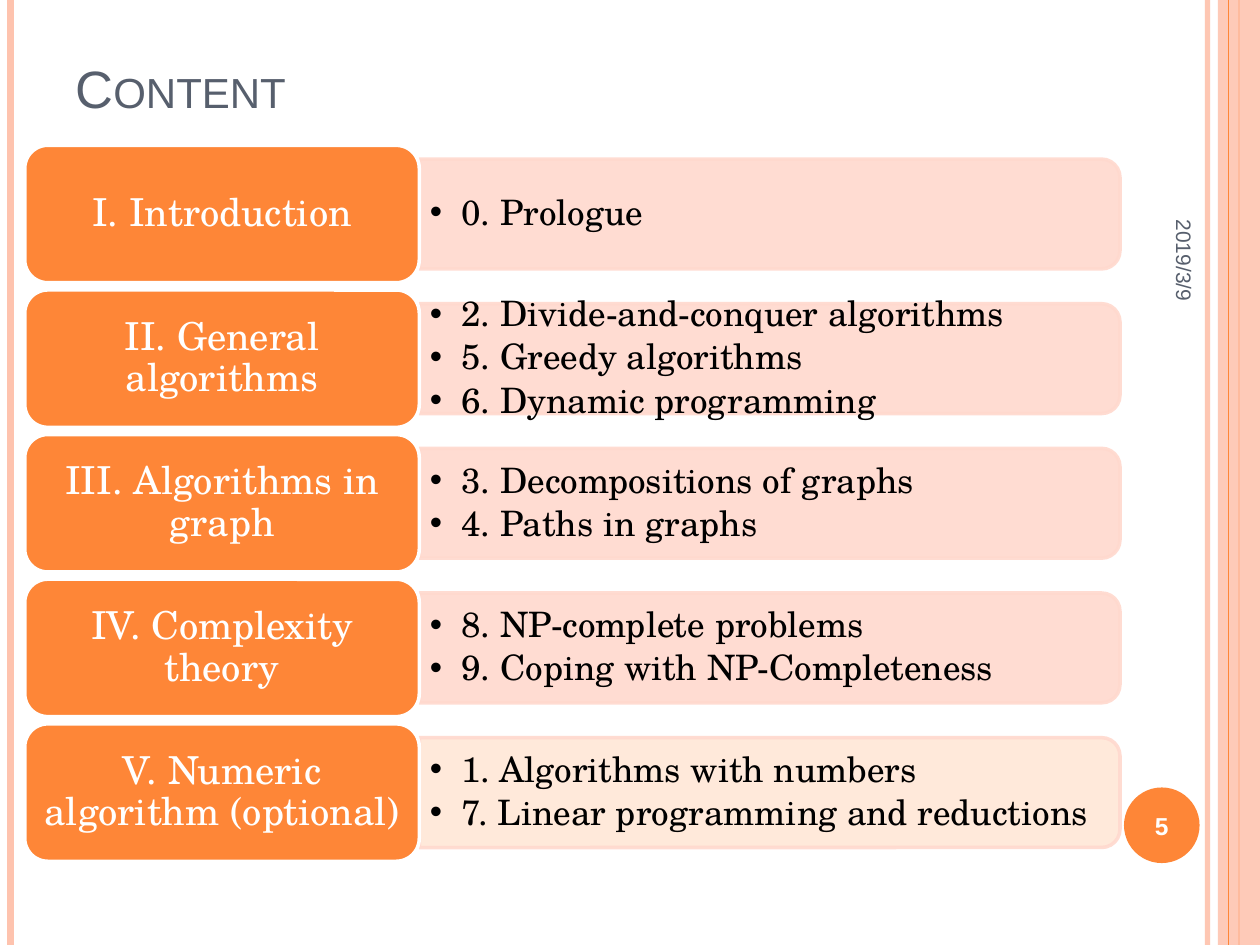
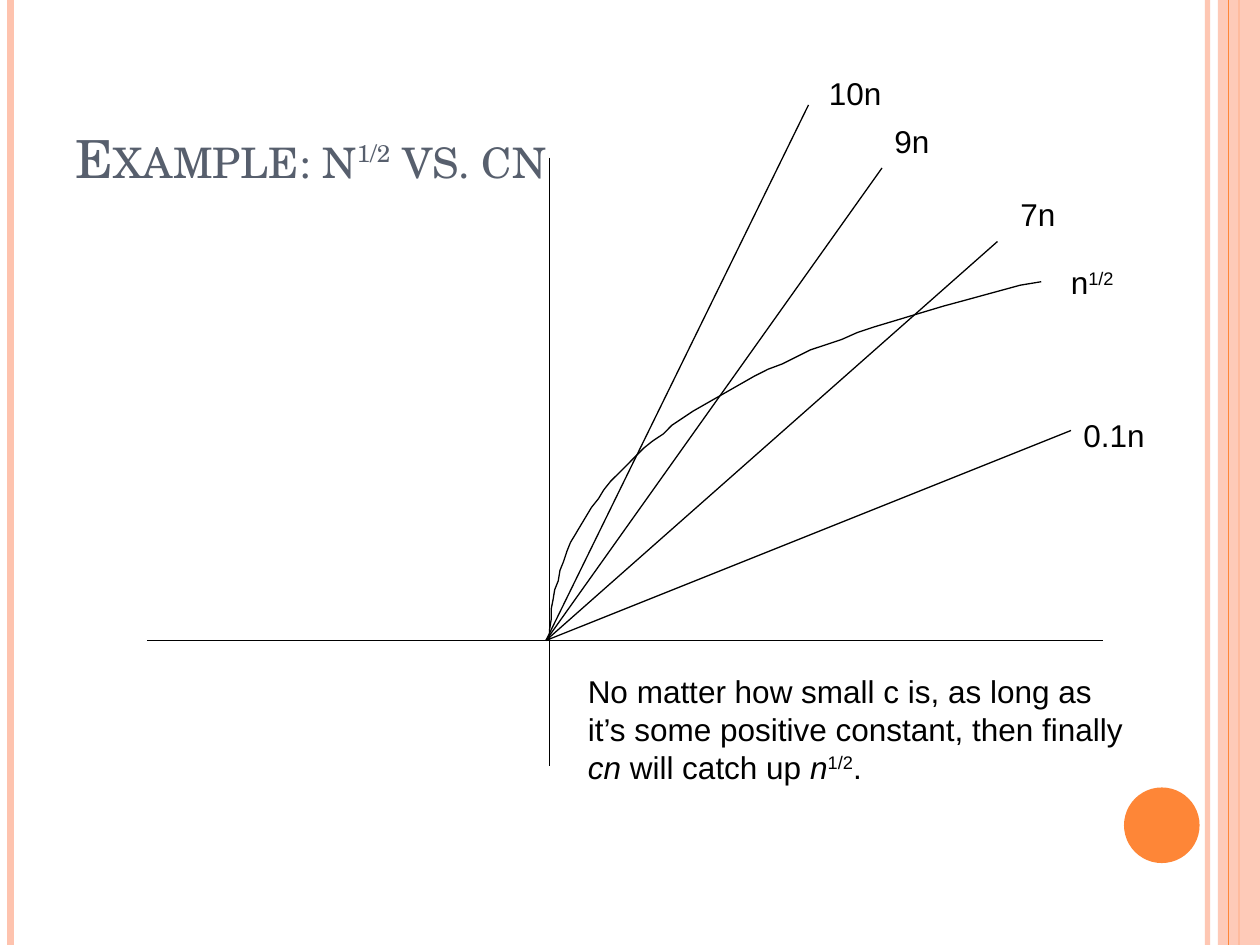
from dataclasses import dataclass

from lxml import etree
from pptx import Presentation
from pptx import util as u
from pptx.dml import color
from pptx.enum import shapes, text
from pptx.oxml import ns


@dataclass(frozen=True)
class Theme:
    accent: str = "FE8637"
    band: str = "FEC3AE"
    panel: str = "FFD9CE"
    panel_optional: str = "FFE7D7"
    slate: str = "575F6D"
    ink: str = "000000"
    paper: str = "FFFFFF"
    sans: str = "Arial"
    serif: str = "TeX Gyre Schola"
    title: int = 30
    chapter: int = 22
    topic: int = 20
    note: int = 18
    number: int = 14
    date: int = 12


THEME = Theme()
WIDTH, HEIGHT = 720, 540
SUPER = {"baseline": "30000"}
ITALIC = {"i": "1"}
CENTRED = {"alignment": text.PP_ALIGN.CENTER}

# Content slide: rows of a chapter block and a topic panel
FIRST_ROW_MIDDLE, ROW_PITCH = 122.3, 82.65
CHAPTER_LEFT, CHAPTER_WIDTH, CHAPTER_HEIGHT = 14.2, 225.4, 78.5
PANEL_LEFT = CHAPTER_LEFT + CHAPTER_WIDTH
PANEL_WIDTH, PANEL_HEIGHT, TOPICS_HEIGHT = 400.4, 62.8, 56.8

CHAPTERS = [
    ("I. Introduction", ["0. Prologue"]),
    ("II. General algorithms", ["2. Divide-and-conquer algorithms",
                                "5. Greedy algorithms", "6. Dynamic programming"]),
    ("III. Algorithms in graph", ["3. Decompositions of graphs", "4. Paths in graphs"]),
    ("IV. Complexity theory", ["8. NP-complete problems", "9. Coping with NP-Completeness"]),
    ("V. Numeric algorithm (optional)", ["1. Algorithms with numbers",
                                         "7. Linear programming and reductions"]),
]

# Example slide: axes, straight lines cn and the curve of the root
ORIGIN = (312, 366)
AXIS_X = 314.2
ROOT_START, ROOT_END = (AXIS_X, 366), (594.7, 160.6)
ROOT_STEPS = 48
ROOT_LIFT = 1.39  # share of the root in the height; the rest is linear
LABEL_HEIGHT = 29

# Label, end of the line, corner of the label
GROWTH_LINES = [
    ("10n", (462, 60), (466.6, 38.9)),
    ("9n", (504, 96), (504, 66.2)),
    ("7n", (570, 138), (576, 108)),
    ("0.1n", (612, 246), (612, 234)),
]


def rgb(code):
    return color.RGBColor.from_string(code)


def points(*lengths):
    return [u.Pt(length) for length in lengths]


def assign(target, values):
    for name, value in values.items():
        setattr(target, name, value)


def margins(side, top):
    return {"margin_left": u.Pt(side), "margin_right": u.Pt(side),
            "margin_top": u.Pt(top), "margin_bottom": u.Pt(top)}


def set_opacity(item, percent):
    for code in item.element.spPr.iter(ns.qn("a:srgbClr")):
        etree.SubElement(code, ns.qn("a:alpha"), val=str(percent * 1000))


def set_line(item, code, width):
    item.line.color.rgb = rgb(code)
    item.line.width = u.Pt(width)


def write(shape, paragraphs, size, code, font, frame=None, layout=None, marks=None):
    """Fill a shape with paragraphs, each a list of (words, run attributes)."""
    body = shape.text_frame
    assign(body, {"word_wrap": True, "vertical_anchor": text.MSO_ANCHOR.MIDDLE,
                  **(frame or {})})
    for index, runs in enumerate(paragraphs):
        paragraph = body.add_paragraph() if index else body.paragraphs[0]
        assign(paragraph, {"alignment": text.PP_ALIGN.LEFT, **(layout or {})})
        for words, extra in runs:
            run = paragraph.add_run()
            run.text = words
            assign(run.font, {"size": u.Pt(size), "name": font})
            run.font.color.rgb = rgb(code)
            for name, value in {**(marks or {}), **extra}.items():
                run._r.get_or_add_rPr().set(name, value)


def add_block(slide, preset, box, fill, line=None):
    block = slide.shapes.add_shape(preset, *points(*box))
    block.shadow.inherit = False
    block.fill.solid()
    block.fill.fore_color.rgb = rgb(fill)
    if line:
        set_line(block, line, 2)
    else:
        block.line.fill.background()
    return block


def add_rule(slide, start, end, code=THEME.ink, width=0.75):
    rule = slide.shapes.add_connector(shapes.MSO_CONNECTOR.STRAIGHT, *points(*start, *end))
    set_line(rule, code, width)
    etree.SubElement(rule.element.spPr, ns.qn("a:effectLst"))
    return rule


def add_upright(slide, x, code, width):
    """A rule over the full height of the slide."""
    return add_rule(slide, (x, 0), (x, HEIGHT), code, width)


def add_frame(slide, number=None):
    """Side bands and the number disc that every slide has."""
    set_opacity(add_upright(slide, 690, THEME.band, 3), 93)
    add_upright(slide, 6, THEME.band, 4.5)
    add_upright(slide, 708, THEME.accent, 1.5)
    band = add_block(slide, shapes.MSO_SHAPE.RECTANGLE, (696, 0, 24, HEIGHT), THEME.band)
    set_opacity(band, 87)
    add_upright(slide, 702, THEME.accent, 0.75)
    disc = add_block(slide, shapes.MSO_SHAPE.OVAL, (642.3, 450, 43.2, 43.2), THEME.accent)
    if number:
        write(disc, [[(number, {"b": "1"})]], THEME.number, THEME.paper, THEME.sans,
              margins(0, 0), CENTRED)


def add_title(slide, runs, height, font):
    title = slide.shapes.add_textbox(*points(36, 21.6, 588, height))
    write(title, [runs], THEME.title, THEME.slate, font,
          {"vertical_anchor": text.MSO_ANCHOR.BOTTOM}, marks={"cap": "small"})


def add_date(slide, words):
    date = slide.shapes.add_textbox(*points(597.6, 85, 158.4, 30.2))
    date.rotation = 90
    write(date, [[(words, {})]], THEME.date, THEME.slate, THEME.sans,
          layout={"alignment": text.PP_ALIGN.RIGHT})


def add_bullets(box):
    for paragraph in box.text_frame.paragraphs:
        properties = paragraph._p.get_or_add_pPr()
        for name, value in {"marL": u.Pt(18), "indent": u.Pt(-18)}.items():
            properties.set(name, str(value))
        etree.SubElement(properties, ns.qn("a:buFont"), typeface=THEME.sans)
        etree.SubElement(properties, ns.qn("a:buChar"), char="•")


def add_panel(slide, middle, fill):
    """Panel rounded on its right: a shape rounded on top, given a quarter turn."""
    centre = PANEL_LEFT + PANEL_WIDTH / 2
    panel = add_block(slide, shapes.MSO_SHAPE.ROUND_2_SAME_RECTANGLE,
                      (centre - PANEL_HEIGHT / 2, middle - PANEL_WIDTH / 2,
                       PANEL_HEIGHT, PANEL_WIDTH), fill, THEME.panel)
    panel.rotation = 90
    set_opacity(panel, 90)


def add_topics(slide, middle, topics):
    topic_list = slide.shapes.add_textbox(
        *points(PANEL_LEFT, middle - TOPICS_HEIGHT / 2, PANEL_WIDTH, TOPICS_HEIGHT))
    write(topic_list, [[(topic, {})] for topic in topics], THEME.topic, THEME.ink,
          THEME.serif, margins(6, 3), {"line_spacing": 0.9, "space_after": u.Pt(3)})
    add_bullets(topic_list)


def add_chapter(slide, middle, name):
    chapter = add_block(slide, shapes.MSO_SHAPE.ROUNDED_RECTANGLE,
                        (CHAPTER_LEFT, middle - CHAPTER_HEIGHT / 2,
                         CHAPTER_WIDTH, CHAPTER_HEIGHT), THEME.accent, THEME.paper)
    write(chapter, [[(name, {})]], THEME.chapter, THEME.paper, THEME.serif,
          margins(6, 3.6), {**CENTRED, "line_spacing": 0.9, "space_after": u.Pt(7.7)})


def add_note(slide, box, paragraphs):
    note = slide.shapes.add_textbox(*points(*box))
    write(note, paragraphs, THEME.note, THEME.ink, THEME.sans,
          {"word_wrap": False, "vertical_anchor": text.MSO_ANCHOR.TOP,
           "auto_size": text.MSO_AUTO_SIZE.SHAPE_TO_FIT_TEXT})


def root_point(step):
    """Point of the root curve; even steps of the root keep its steep start smooth."""
    root = step / ROOT_STEPS
    across = root ** 2
    up = ROOT_LIFT * root + (1 - ROOT_LIFT) * across
    return tuple(start + share * (end - start)
                 for start, end, share in zip(ROOT_START, ROOT_END, (across, up)))


def add_root_curve(slide):
    builder = slide.shapes.build_freeform(*ROOT_START, scale=float(u.Pt(1)))
    builder.add_line_segments([root_point(step) for step in range(1, ROOT_STEPS + 1)],
                              close=False)
    curve = builder.convert_to_shape()
    curve.shadow.inherit = False
    curve.fill.background()
    set_line(curve, THEME.ink, 0.75)


def build_content(slide):
    add_frame(slide, "5")
    add_title(slide, [("Content", {})], 49.7, THEME.sans)
    for row, (name, topics) in enumerate(CHAPTERS):
        middle = FIRST_ROW_MIDDLE + ROW_PITCH * row
        optional = "(optional)" in name
        add_panel(slide, middle, THEME.panel_optional if optional else THEME.panel)
        add_topics(slide, middle, topics)
        add_chapter(slide, middle, name)
    add_date(slide, "2019/3/9")


def build_example(slide):
    add_frame(slide)
    add_title(slide, [("Example: n", {}), ("1/2", SUPER), (" vs. cn", {})], 90, THEME.serif)
    add_root_curve(slide)
    add_rule(slide, (84, ORIGIN[1]), (630, ORIGIN[1]))
    add_rule(slide, (AXIS_X, 90), (AXIS_X, 438))
    for label, tip, corner in GROWTH_LINES:
        add_rule(slide, ORIGIN, tip)
        add_note(slide, (*corner, 14.4 + 10 * len(label), LABEL_HEIGHT), [[(label, {})]])
    add_note(slide, (604.8, 146.9, 41, LABEL_HEIGHT), [[("n", {}), ("1/2", SUPER)]])
    add_note(slide, (328.8, 380.6, 325.4, 72), [
        [("No matter how small c is, as long as", {})],
        [("it’s some positive constant, then finally", {})],
        [("cn", ITALIC), (" will catch up ", {}), ("n", ITALIC), ("1/2", SUPER), (".", {})],
    ])


def main():
    deck = Presentation()
    deck.slide_width, deck.slide_height = points(WIDTH, HEIGHT)
    for build in (build_content, build_example):
        build(deck.slides.add_slide(deck.slide_layouts[6]))
    deck.save("out.pptx")


if __name__ == "__main__":
    main()
